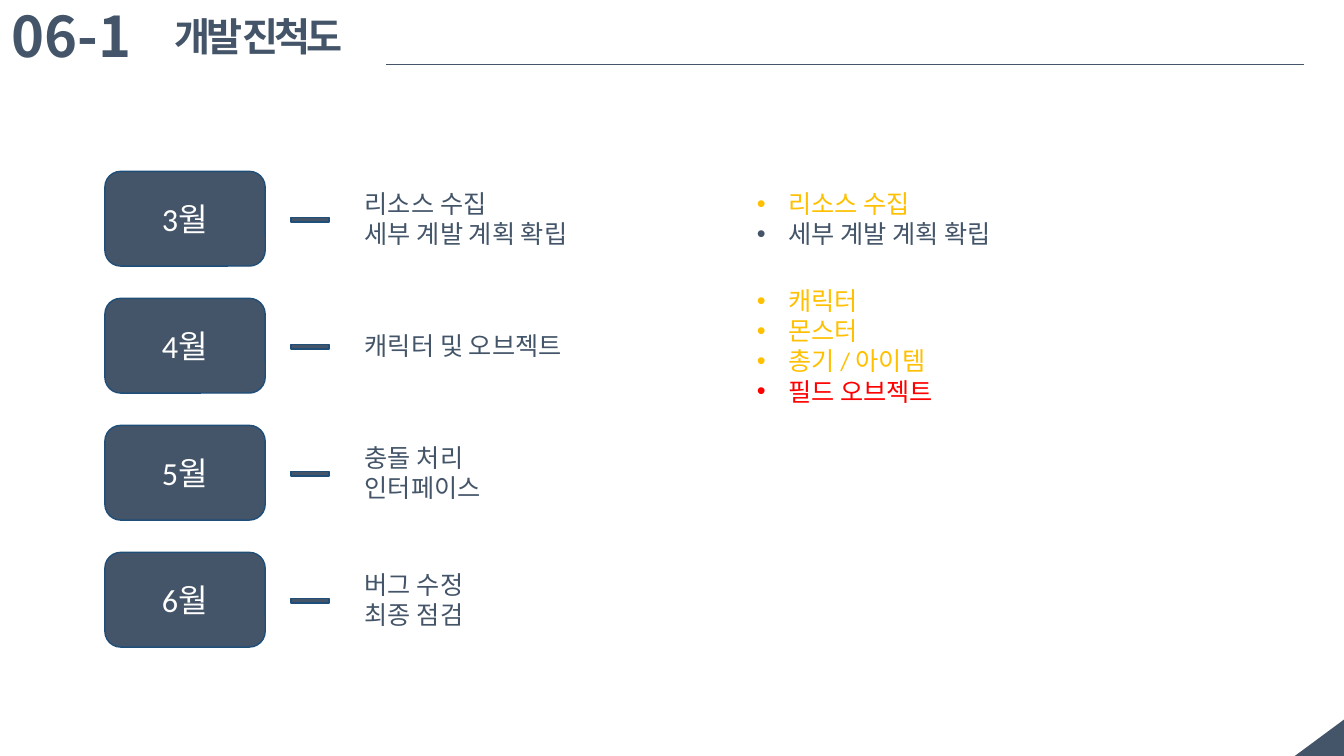
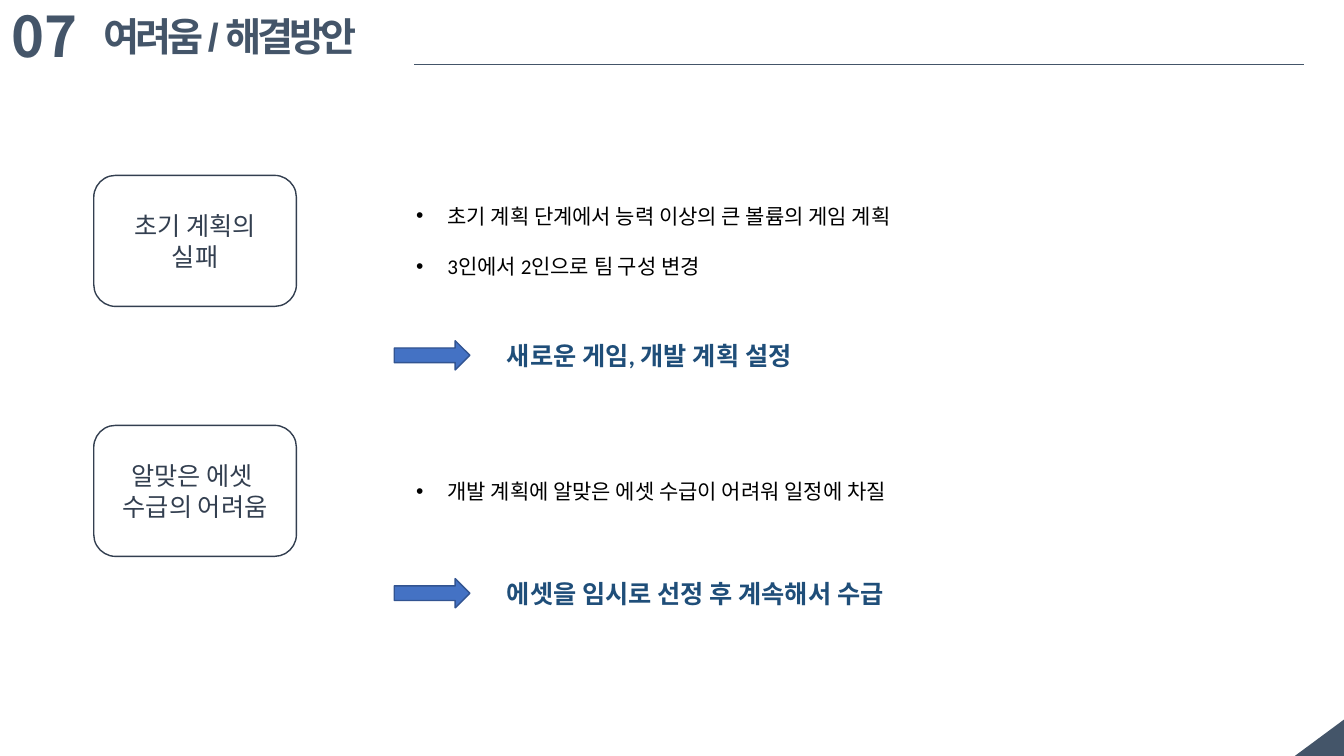
from dataclasses import dataclass

from lxml.etree import SubElement
from pptx import Presentation
from pptx.dml.color import RGBColor
from pptx.enum.shapes import MSO_CONNECTOR, MSO_SHAPE as Preset
from pptx.enum.text import MSO_ANCHOR as Anchor, PP_ALIGN as Align
from pptx.oxml.ns import qn
from pptx.shapes.autoshape import Shape
from pptx.slide import Slide
from pptx.util import Inches, Pt

SLATE = RGBColor(0x44, 0x55, 0x69)
DARK_SLATE = RGBColor(0x33, 0x3F, 0x50)
NAVY = RGBColor(0x1F, 0x4E, 0x79)
BLUE = RGBColor(0x44, 0x72, 0xC4)
DARK_BLUE = RGBColor(0x32, 0x54, 0x91)
AMBER = RGBColor(0xFF, 0xC0, 0x00)
RED = RGBColor(0xFF, 0x00, 0x00)
WHITE = RGBColor(0xFF, 0xFF, 0xFF)
BLACK = RGBColor(0x00, 0x00, 0x00)

BODY_FONT = "Calibri"
TITLE_FONT = "Arial"
KOREAN_FONT = "Noto Sans CJK KR"

BULLET_INDENT = 0.31


@dataclass(frozen=True)
class Box:
    left: float
    top: float
    width: float
    height: float

    def lengths(self) -> list[Inches]:
        return [Inches(n) for n in (self.left, self.top, self.width, self.height)]


@dataclass(frozen=True)
class Style:
    size: float
    color: RGBColor
    font: str = BODY_FONT
    bold: bool = False
    align: Align = Align.LEFT
    bullet: bool = False
    spacing: float = 0  # between letters, in points
    gap: float = 0  # before every paragraph but the first, in points


@dataclass(frozen=True)
class Item:
    text: str
    color: RGBColor


@dataclass(frozen=True)
class Month:
    name: str
    plans: list[str]
    progress: list[Item]


@dataclass(frozen=True)
class Difficulty:
    top: float
    name: list[str]
    causes: list[str]
    solution: str
    solution_middle: float


NUMBER = Style(40, SLATE, KOREAN_FONT, bold=True)
TITLE = Style(28, SLATE, TITLE_FONT, bold=True, spacing=-3)
MONTH = Style(23, WHITE, align=Align.CENTER)
PLAN = Style(18, SLATE)
PROGRESS = Style(18, SLATE, bullet=True)
DIFFICULTY = Style(18, DARK_SLATE, align=Align.CENTER)
CAUSE = Style(15, BLACK, bullet=True, gap=18)
SOLUTION = Style(18, NAVY, bold=True)

MONTHS = [
    Month("3월", ["리소스 수집", "세부 계발 계획 확립"],
          [Item("리소스 수집", AMBER), Item("세부 계발 계획 확립", SLATE)]),
    Month("4월", ["캐릭터 및 오브젝트"],
          [Item("캐릭터", AMBER), Item("몬스터", AMBER),
           Item("총기 / 아이템", AMBER), Item("필드 오브젝트", RED)]),
    Month("5월", ["충돌 처리", "인터페이스"], []),
    Month("6월", ["버그 수정", "최종 점검"], []),
]
MONTH_TOP, MONTH_PITCH, MONTH_HEIGHT = 1.7, 1.26, 0.94

DIFFICULTIES = [
    Difficulty(1.74, ["초기 계획의 실패"],
               ["초기 계획 단계에서 능력 이상의 큰 볼륨의 게임 계획",
                "3인에서 2인으로 팀 구성 변경"],
               "새로운 게임, 개발 계획 설정", 3.53),
    Difficulty(4.22, ["알맞은 에셋 ", "수급의 어려움"],
               ["개발 계획에 알맞은 에셋 수급이 어려워 일정에 차질"],
               "에셋을 임시로 선정 후 계속해서 수급", 5.89),
]
DIFFICULTY_HEIGHT = 1.3


def write(shape: Shape, lines: list[str | Item], style: Style) -> None:
    frame = shape.text_frame
    frame.word_wrap = True
    for index, line in enumerate(lines):
        item = line if isinstance(line, Item) else Item(line, style.color)
        paragraph = frame.paragraphs[0] if index == 0 else frame.add_paragraph()
        paragraph.text = item.text
        paragraph.alignment = style.align
        if index and style.gap:
            paragraph.space_before = Pt(style.gap)
        font = paragraph.font
        font.size = Pt(style.size)
        font.bold = style.bold
        font.name = style.font
        font.color.rgb = item.color

        properties = paragraph._p.get_or_add_pPr()
        defaults = properties.find(qn("a:defRPr"))
        SubElement(defaults, qn("a:ea")).set("typeface", KOREAN_FONT)
        if style.spacing:
            defaults.set("spc", str(int(style.spacing * 100)))
        if style.bullet:
            properties.set("marL", str(Inches(BULLET_INDENT)))
            properties.set("indent", str(-Inches(BULLET_INDENT)))
            bullet_font = properties.makeelement(qn("a:buFont"), {"typeface": "Arial"})
            bullet = properties.makeelement(qn("a:buChar"), {"char": "•"})
            defaults.addprevious(bullet_font)
            defaults.addprevious(bullet)


def add_text(slide: Slide, box: Box, lines: list[str | Item], style: Style,
             anchor: Anchor = Anchor.MIDDLE) -> None:
    shape = slide.shapes.add_textbox(*box.lengths())
    shape.text_frame.vertical_anchor = anchor
    write(shape, lines, style)


def add_preset(slide: Slide, preset: Preset, box: Box, fill: RGBColor | None,
               line: RGBColor | None) -> Shape:
    shape = slide.shapes.add_shape(preset, *box.lengths())
    shape.shadow.inherit = False
    if fill is None:
        shape.fill.background()
    else:
        shape.fill.solid()
        shape.fill.fore_color.rgb = fill
    if line is None:
        shape.line.fill.background()
    else:
        shape.line.color.rgb = line
        shape.line.width = Pt(1)
    return shape


def add_framed_slide(presentation, number: str, title: str,
                     title_left: float, rule_left: float) -> Slide:
    """Add a blank slide with its number, title, rule and corner triangle."""
    slide = presentation.slides.add_slide(presentation.slide_layouts[6])
    corner = add_preset(slide, Preset.RIGHT_TRIANGLE, Box(12.9, 7.07, 0.37, 0.5), SLATE, None)
    corner.rotation = 270
    add_text(slide, Box(0.02, -0.03, 1.73, 0.77), [number], NUMBER, Anchor.TOP)
    add_text(slide, Box(title_left, 0.07, 3, 0.57), [title], TITLE, Anchor.TOP)
    rule = slide.shapes.add_connector(MSO_CONNECTOR.STRAIGHT, Inches(rule_left), Inches(0.64),
                                      Inches(12.93), Inches(0.64))
    rule.line.color.rgb = SLATE
    rule.line.width = Pt(0.75)
    SubElement(rule._element.spPr, qn("a:effectLst"))
    return slide


def add_month(slide: Slide, month: Month, top: float) -> None:
    box = add_preset(slide, Preset.ROUNDED_RECTANGLE, Box(1.04, top, 1.59, MONTH_HEIGHT),
                     SLATE, NAVY)
    write(box, [month.name], MONTH)
    add_preset(slide, Preset.MATH_MINUS, Box(2.82, top + 0.38, 0.51, 0.2), SLATE, NAVY)
    add_text(slide, Box(3.52, top, 3, MONTH_HEIGHT), month.plans, PLAN)
    if month.progress:
        add_text(slide, Box(7.41, top, 4.3, MONTH_HEIGHT), month.progress, PROGRESS)


def add_difficulty(slide: Slide, difficulty: Difficulty) -> None:
    top, middle = difficulty.top, difficulty.solution_middle
    box = add_preset(slide, Preset.ROUNDED_RECTANGLE, Box(0.93, top, 2.01, DIFFICULTY_HEIGHT),
                     None, DARK_SLATE)
    write(box, difficulty.name, DIFFICULTY)
    add_text(slide, Box(4.03, top, 5.4, DIFFICULTY_HEIGHT), difficulty.causes, CAUSE)
    add_preset(slide, Preset.RIGHT_ARROW, Box(3.91, middle - 0.15, 0.75, 0.29), BLUE, DARK_BLUE)
    add_text(slide, Box(4.93, middle - 0.2, 5.4, 0.4), [difficulty.solution], SOLUTION)


def main() -> None:
    presentation = Presentation()
    presentation.slide_width = Inches(13.33)
    presentation.slide_height = Inches(7.5)

    progress_slide = add_framed_slide(presentation, "06-1", "개발 진척도", 1.63, 3.83)
    for index, month in enumerate(MONTHS):
        add_month(progress_slide, month, MONTH_TOP + index * MONTH_PITCH)

    difficulty_slide = add_framed_slide(presentation, "07", "여려움 / 해결방안", 0.93, 4.11)
    for difficulty in DIFFICULTIES:
        add_difficulty(difficulty_slide, difficulty)

    presentation.save("out.pptx")


if __name__ == "__main__":
    main()
